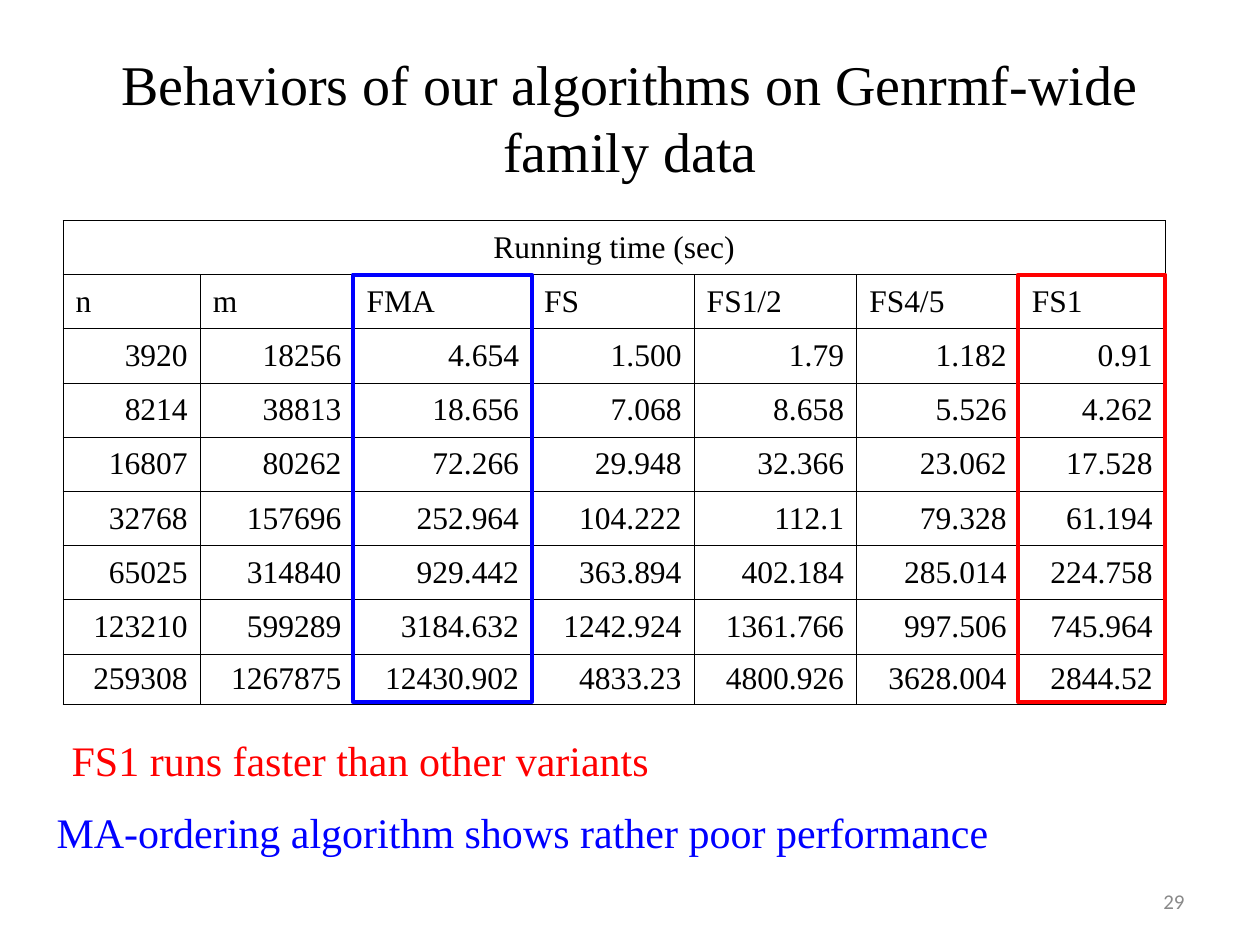
from lxml.etree import SubElement
from pptx import Presentation
from pptx.dml.color import RGBColor
from pptx.enum.shapes import MSO_SHAPE
from pptx.enum.text import MSO_ANCHOR, PP_ALIGN
from pptx.oxml.ns import qn
from pptx.util import Inches, Pt

COLORS = {"black": "000000", "red": "FF0000", "blue": "0000FF", "gray": "898989"}
SERIF = "Times New Roman"

TITLE = "Behaviors of our algorithms on Genrmf-wide family data"
CAPTION = "Running time (sec)"
HEADERS = ["n", "m", "FMA", "FS", "FS1/2", "FS4/5", "FS1"]
TIMES = [
    ["3920", "18256", "4.654", "1.500", "1.79", "1.182", "0.91"],
    ["8214", "38813", "18.656", "7.068", "8.658", "5.526", "4.262"],
    ["16807", "80262", "72.266", "29.948", "32.366", "23.062", "17.528"],
    ["32768", "157696", "252.964", "104.222", "112.1", "79.328", "61.194"],
    ["65025", "314840", "929.442", "363.894", "402.184", "285.014", "224.758"],
    ["123210", "599289", "3184.632", "1242.924", "1361.766", "997.506", "745.964"],
    ["259308", "1267875", "12430.902", "4833.23", "4800.926", "3628.004", "2844.52"],
]
NOTES = [
    ("MA-ordering algorithm shows rather poor performance", "blue", 0.35, 6.35, 8.71),
    ("FS1 runs faster than other variants", "red", 0.47, 5.78, 5.55),
]
HIGHLIGHTS = [("FS1", "red"), ("FMA", "blue")]

TABLE_LEFT, TABLE_TOP = 0.5, 1.75
COLUMN_WIDTHS = [1.09, 1.22, 1.41, 1.29, 1.29, 1.29, 1.16]
ROW_HEIGHTS = [0.43] * 8 + [0.4]
THIN, THICK = 0.45, 0.96


def color(name):
    return RGBColor.from_string(COLORS[name])


def format_text(frame, size, color_name, align, font=SERIF):
    para = frame.paragraphs[0]
    para.alignment = align
    for span in para.runs:
        span.font.name = font
        span.font.size = Pt(size)
        span.font.color.rgb = color(color_name)


def add_text(slide, text, place, size, color_name, align=PP_ALIGN.LEFT, font=SERIF):
    box = slide.shapes.add_textbox(*(Inches(value) for value in place))
    box.text_frame.word_wrap = True
    box.text_frame.text = text
    format_text(box.text_frame, size, color_name, align, font)
    return box


def set_borders(cell, widths):
    properties = cell._tc.get_or_add_tcPr()
    for position, (side, width) in enumerate(widths.items()):
        line = SubElement(properties, qn(f"a:ln{side}"), w=str(int(Pt(width))))
        fill = SubElement(line, qn("a:solidFill"))
        SubElement(fill, qn("a:srgbClr"), val=COLORS["black"])
        properties.insert(position, line)


def fill_cell(cell, text, align):
    cell.fill.background()
    cell.vertical_anchor = MSO_ANCHOR.MIDDLE
    cell.text_frame.text = text
    format_text(cell.text_frame, 18, "black", align)


def add_times_table(slide):
    rows = [[CAPTION] + [""] * (len(HEADERS) - 1), HEADERS] + TIMES
    table = slide.shapes.add_table(
        len(rows), len(HEADERS), Inches(TABLE_LEFT), Inches(TABLE_TOP),
        Inches(sum(COLUMN_WIDTHS)), Inches(sum(ROW_HEIGHTS))).table
    table.first_row = table.horz_banding = False
    for column, width in zip(table.columns, COLUMN_WIDTHS):
        column.width = Inches(width)
    for row, height in zip(table.rows, ROW_HEIGHTS):
        row.height = Inches(height)

    fma = HEADERS.index("FMA")
    aligns = [PP_ALIGN.CENTER, PP_ALIGN.LEFT] + [PP_ALIGN.RIGHT] * len(TIMES)
    for r, (row, align) in enumerate(zip(rows, aligns)):
        for c, text in enumerate(row):
            cell = table.cell(r, c)
            fill_cell(cell, text, align)
            left = THICK if r and c in (fma, fma + 1) else THIN
            right = THICK if r and c in (fma - 1, fma) else THIN
            set_borders(cell, {"L": left, "R": right, "T": THIN, "B": THIN})
    table.cell(0, 0).merge(table.cell(0, len(HEADERS) - 1))


def add_highlight(slide, header, color_name):
    column = HEADERS.index(header)
    left = TABLE_LEFT + sum(COLUMN_WIDTHS[:column]) - 0.01
    frame = slide.shapes.add_shape(
        MSO_SHAPE.RECTANGLE, Inches(left), Inches(TABLE_TOP + ROW_HEIGHTS[0]),
        Inches(COLUMN_WIDTHS[column] + 0.01), Inches(3.39))
    frame.shadow.inherit = False
    frame.fill.background()
    frame.line.color.rgb = color(color_name)
    frame.line.width = Pt(2.25)


def main():
    deck = Presentation()
    deck.slide_width, deck.slide_height = Inches(10), Inches(7.5)
    page = deck.slides.add_slide(deck.slide_layouts[5])

    title = page.shapes.title
    title.left, title.top = Inches(0.5), Inches(0.3)
    title.width, title.height = Inches(9), Inches(1.25)
    title.text_frame.text = TITLE
    title.text_frame.vertical_anchor = MSO_ANCHOR.MIDDLE
    format_text(title.text_frame, 32, "black", PP_ALIGN.CENTER)

    number = add_text(page, "29", (7.17, 6.95, 2.33, 0.4), 12, "gray",
                      PP_ALIGN.RIGHT, "Calibri")
    number.text_frame.vertical_anchor = MSO_ANCHOR.MIDDLE

    add_times_table(page)
    for header, color_name in HIGHLIGHTS:
        add_highlight(page, header, color_name)
    for text, color_name, left, top, width in NOTES:
        add_text(page, text, (left, top, width, 0.5), 24, color_name)
    deck.save("out.pptx")


if __name__ == "__main__":
    main()
